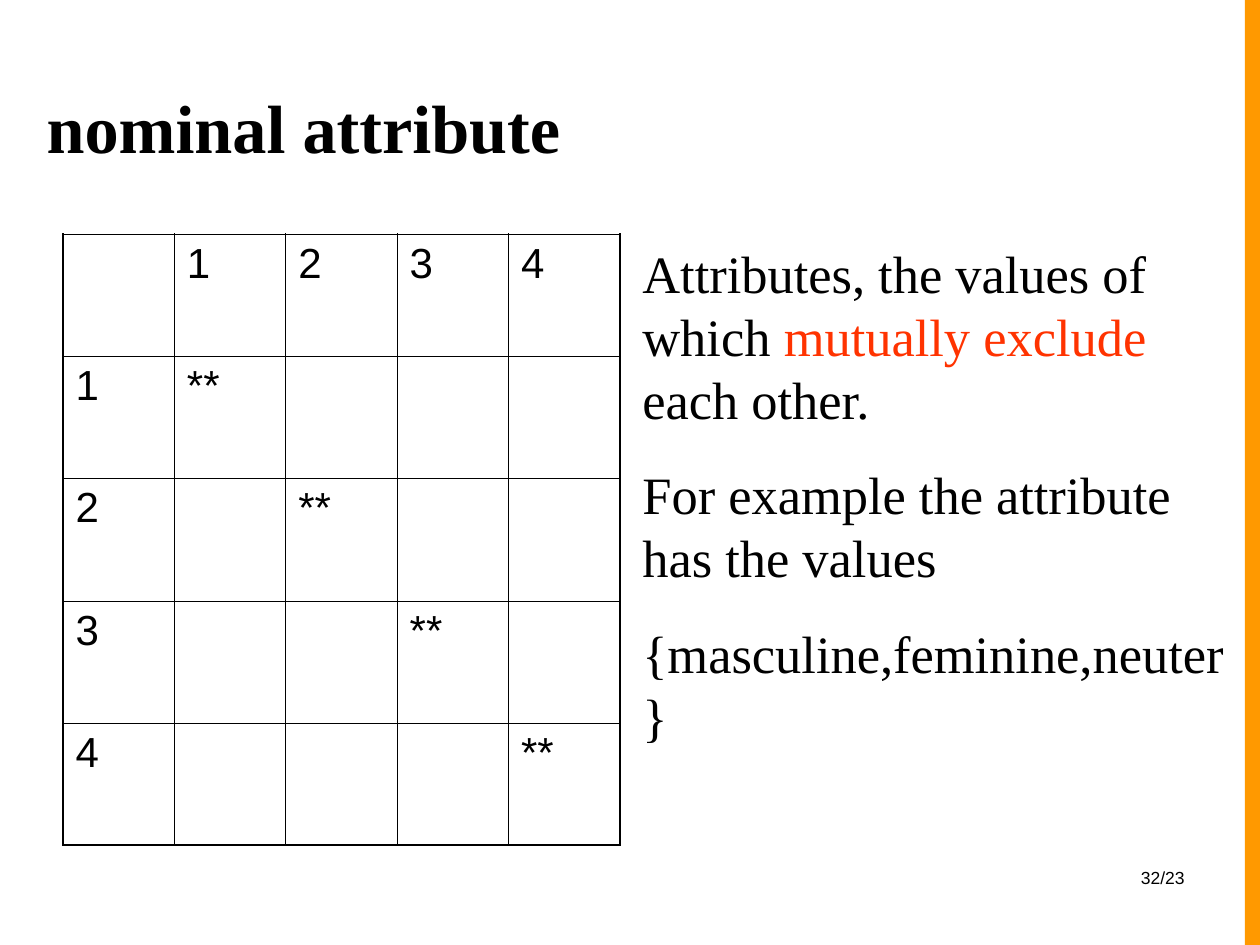
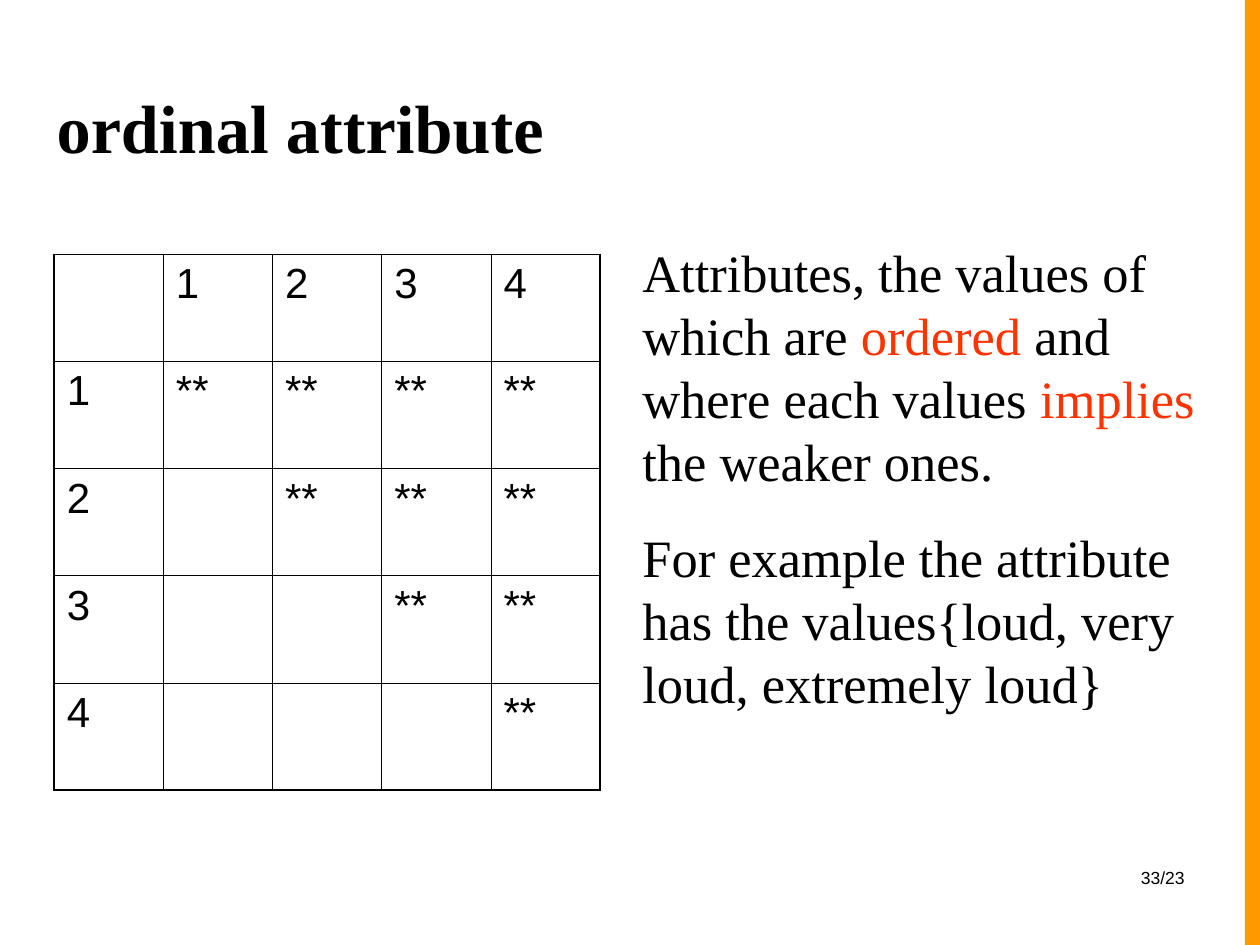
from dataclasses import dataclass
from typing import Callable

from lxml.etree import SubElement
from pptx import Presentation
from pptx.dml.color import RGBColor
from pptx.enum.shapes import MSO_SHAPE
from pptx.enum.text import MSO_ANCHOR, MSO_AUTO_SIZE, PP_ALIGN
from pptx.oxml.ns import qn
from pptx.slide import Slide
from pptx.table import Table, _Cell
from pptx.text.text import Font
from pptx.util import Pt

COLORS = {"text": "000000", "accent": "FF3300", "band": "FF9900"}
SERIF, SANS = "Times New Roman", "Arial"
VALUES = 4
GRID = VALUES + 1
OUTER_LINE, INNER_LINE = Pt(1.08), Pt(0.45)
TITLE_ONLY = 5


@dataclass(frozen=True)
class Box:
    left: float
    top: float
    width: float
    height: float

    def lengths(self) -> tuple[Pt, Pt, Pt, Pt]:
        return Pt(self.left), Pt(self.top), Pt(self.width), Pt(self.height)


@dataclass(frozen=True)
class AttributeSlide:
    title: str
    title_box: Box
    table_box: Box
    implies: Callable[[int, int], bool]
    text_height: float
    paragraphs: list[list[tuple[str, str]]]
    page: str


BAND = Box(711.36, 0, 11.52, 540)
PAGE_BOX = Box(516.24, 491.76, 167.76, 36)

ATTRIBUTE_SLIDES = [
    AttributeSlide(
        "nominal attribute",
        Box(19.44, 9.36, 653.04, 90),
        Box(36, 133.92, 318.24, 349.2),
        lambda row, column: row == column,
        296.64,
        [
            [
                ("Attributes, the values of which ", "text"),
                ("mutually exclude", "accent"),
                (" each other.", "text"),
            ],
            [("For example the attribute has the values", "text")],
            [("{masculine,feminine,neuter}", "text")],
        ],
        "32/23",
    ),
    AttributeSlide(
        "ordinal attribute",
        Box(25.2, 9.36, 647.28, 90),
        Box(30.96, 145.44, 312, 306),
        lambda row, column: row <= column,
        277.92,
        [
            [
                ("Attributes, the values of which are ", "text"),
                ("ordered", "accent"),
                (" and where each values ", "text"),
                ("implies", "accent"),
                (" the weaker ones.", "text"),
            ],
            [("For example the attribute has the values{loud, very loud, extremely loud}", "text")],
        ],
        "33/23",
    ),
]


def format_font(font: Font, name: str, size: float, color: str = "text", bold: bool = False) -> None:
    font.name, font.size, font.bold = name, Pt(size), bold
    font.color.rgb = RGBColor.from_string(COLORS[color])


def add_band(slide: Slide) -> None:
    """Draw the side band and move it to the layout, so that every slide shows it."""
    band = slide.shapes.add_shape(MSO_SHAPE.RECTANGLE, *BAND.lengths())
    band.shadow.inherit = False
    band.fill.solid()
    band.fill.fore_color.rgb = RGBColor.from_string(COLORS["band"])
    band.line.fill.background()
    slide.slide_layout.shapes.element.append(band.element)


def add_title(slide: Slide, text: str, box: Box) -> None:
    title = slide.shapes.title
    title.left, title.top, title.width, title.height = box.lengths()
    text_frame = title.text_frame
    text_frame.text = text
    text_frame.auto_size = MSO_AUTO_SIZE.NONE
    text_frame.vertical_anchor = MSO_ANCHOR.BOTTOM
    paragraph = text_frame.paragraphs[0]
    paragraph.alignment = PP_ALIGN.LEFT
    format_font(paragraph.runs[0].font, SERIF, 39, bold=True)


def set_borders(cell: _Cell, row: int, column: int) -> None:
    outer_sides = {
        "a:lnL": column == 0,
        "a:lnR": column == VALUES,
        "a:lnT": row == 0,
        "a:lnB": row == VALUES,
    }
    properties = cell._tc.get_or_add_tcPr()
    for side, is_outer in outer_sides.items():
        line = SubElement(properties, qn(side), w=str(int(OUTER_LINE if is_outer else INNER_LINE)))
        fill = SubElement(line, qn("a:solidFill"))
        SubElement(fill, qn("a:srgbClr"), val=COLORS["text"])


def cell_text(row: int, column: int, implies: Callable[[int, int], bool]) -> str:
    if row == 0 or column == 0:
        return str(row + column) if row + column else ""
    return "**" if implies(row, column) else ""


def add_implication_table(slide: Slide, box: Box, implies: Callable[[int, int], bool]) -> None:
    table: Table = slide.shapes.add_table(GRID, GRID, *box.lengths()).table
    table.first_row = table.horz_banding = False
    for column in table.columns:
        column.width = Pt(box.width / GRID)
    for row in table.rows:
        row.height = Pt(box.height / GRID)
    for row in range(GRID):
        for column in range(GRID):
            cell = table.cell(row, column)
            cell.text = cell_text(row, column, implies)
            format_font(cell.text_frame.paragraphs[0].font, SANS, 24)
            for run in cell.text_frame.paragraphs[0].runs:
                format_font(run.font, SANS, 24)
            set_borders(cell, row, column)
            cell.fill.background()


def add_definition(slide: Slide, height: float, paragraphs: list[list[tuple[str, str]]]) -> None:
    text_box = slide.shapes.add_textbox(*Box(360, 133.92, 360, height).lengths())
    text_frame = text_box.text_frame
    text_frame.word_wrap = True
    for index, parts in enumerate(paragraphs):
        paragraph = text_frame.add_paragraph() if index else text_frame.paragraphs[0]
        paragraph.line_spacing = Pt(36)
        if index:
            paragraph.space_before = Pt(18.7)
        for text, color in parts:
            run = paragraph.add_run()
            run.text = text
            format_font(run.font, SERIF, 30, color)


def add_page_number(slide: Slide, page: str) -> None:
    text_frame = slide.shapes.add_textbox(*PAGE_BOX.lengths()).text_frame
    text_frame.word_wrap = True
    text_frame.text = page
    paragraph = text_frame.paragraphs[0]
    paragraph.alignment = PP_ALIGN.RIGHT
    format_font(paragraph.runs[0].font, SANS, 10)


def main() -> None:
    presentation = Presentation()
    presentation.slide_width, presentation.slide_height = Pt(720), Pt(540)
    layout = presentation.slide_layouts[TITLE_ONLY]
    for index, content in enumerate(ATTRIBUTE_SLIDES):
        slide = presentation.slides.add_slide(layout)
        if index == 0:
            add_band(slide)
        add_page_number(slide, content.page)
        add_title(slide, content.title, content.title_box)
        add_implication_table(slide, content.table_box, content.implies)
        add_definition(slide, content.text_height, content.paragraphs)
    presentation.save("out.pptx")


if __name__ == "__main__":
    main()
